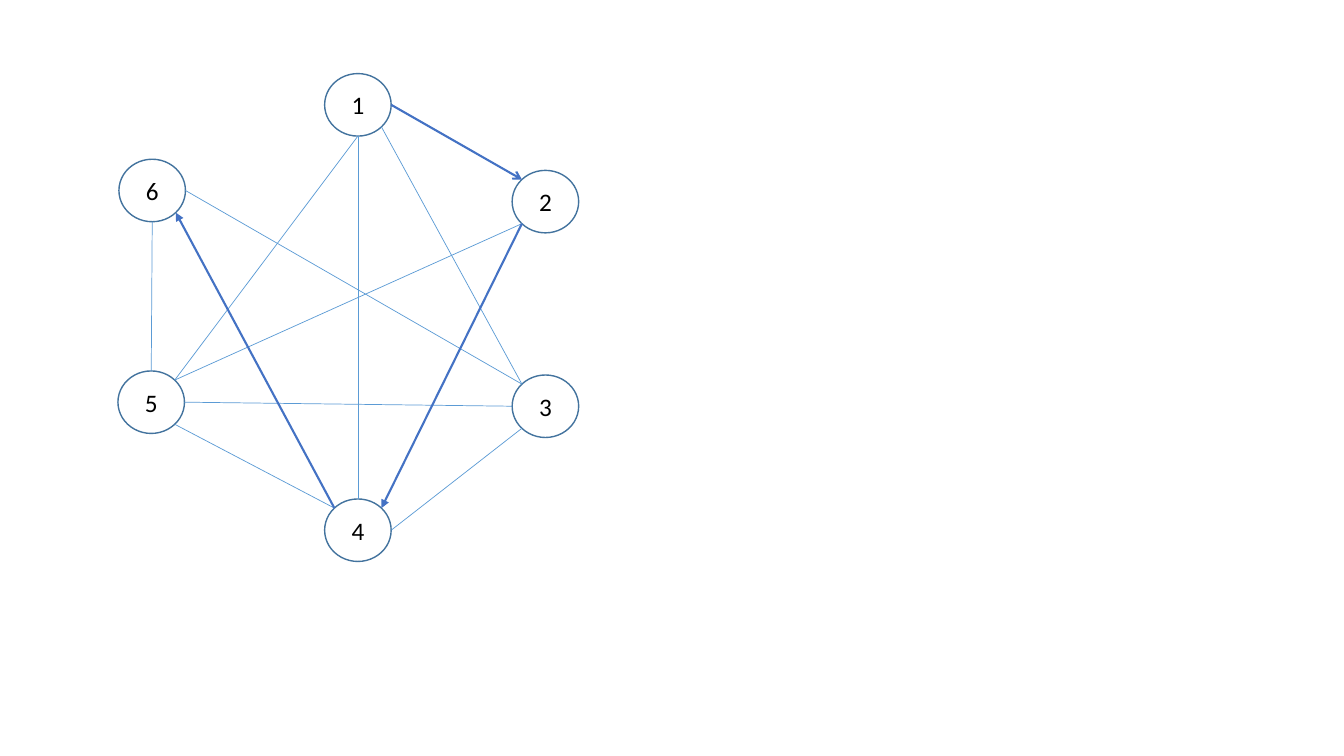
"""Draw a six-node graph with a highlighted route 1, 2, 4, 6."""
from math import cos, radians, sin
from typing import NamedTuple

from lxml.etree import SubElement as Sub
from pptx import Presentation
from pptx.dml.color import RGBColor as Rgb
from pptx.enum.shapes import MSO_CONNECTOR as Link, MSO_SHAPE as Kind
from pptx.enum.text import MSO_ANCHOR as Anchor, PP_ALIGN as Align
from pptx.oxml.ns import qn
from pptx.util import Inches, Pt

WIDE, HIGH = 0.66, 0.62
EAST, SOUTH, WEST, NORTH = 0, 90, 180, 270
SE, SW, NW, NE = 45, 135, 225, 315


class Node(NamedTuple):
    left: float
    top: float

    def site(self, angle: int) -> tuple[float, float]:
        turn = radians(angle)
        return (self.left + WIDE / 2 * (1 + cos(turn)),
                self.top + HIGH / 2 * (1 + sin(turn)))


class Edge(NamedTuple):
    start: int
    out: int
    end: int
    into: int
    head: str = ""


NODES = {
    1: Node(3.22, 0.73),
    2: Node(5.08, 1.69),
    3: Node(5.08, 3.72),
    4: Node(3.22, 4.95),
    5: Node(1.17, 3.68),
    6: Node(1.18, 1.58),
}

EDGES = [
    Edge(1, EAST, 2, NW, "arrow"),
    Edge(1, SOUTH, 4, NORTH),
    Edge(6, SOUTH, 5, NORTH),
    Edge(5, SE, 4, NW),
    Edge(4, EAST, 3, SW),
    Edge(5, EAST, 3, WEST),
    Edge(6, EAST, 3, NW),
    Edge(5, NE, 2, SW),
    Edge(1, SE, 3, NW),
    Edge(1, SOUTH, 5, NE),
    Edge(2, SW, 4, NE, "triangle"),
    Edge(4, NW, 6, SE, "triangle"),
]


def color(code: str) -> Rgb:
    return Rgb.from_string(code)


def add_node(shapes, label: int, node: Node) -> None:
    oval = shapes.add_shape(Kind.OVAL, Inches(node.left), Inches(node.top),
                            Inches(WIDE), Inches(HIGH))
    oval.shadow.inherit = False
    oval.fill.solid()
    oval.fill.fore_color.rgb = color("FFFFFF")
    oval.line.color.rgb = color("43739E")
    oval.line.width = Pt(1)
    frame = oval.text_frame
    frame.vertical_anchor = Anchor.MIDDLE
    para = frame.paragraphs[0]
    para.alignment = Align.CENTER
    run = para.add_run()
    run.text = str(label)
    run.font.name = "Calibri"
    run.font.size = Pt(18)
    run.font.color.rgb = color("000000")


def add_edge(shapes, edge: Edge) -> None:
    ends = NODES[edge.start].site(edge.out) + NODES[edge.end].site(edge.into)
    link = shapes.add_connector(Link.STRAIGHT, *map(Inches, ends))
    link.line.color.rgb = color("4472C4" if edge.head else "5B9BD5")
    link.line.width = Pt(1.5 if edge.head else 0.5)
    if edge.head:
        Sub(link.line._get_or_add_ln(), qn("a:tailEnd"), type=edge.head)
    Sub(link._element.spPr, qn("a:effectLst"))


def main() -> None:
    deck = Presentation()
    deck.slide_width, deck.slide_height = Inches(13.33), Inches(7.5)
    shapes = deck.slides.add_slide(deck.slide_layouts[6]).shapes
    for label, node in NODES.items():
        add_node(shapes, label, node)
    for edge in EDGES:
        add_edge(shapes, edge)
    deck.save("out.pptx")


if __name__ == "__main__":
    main()
